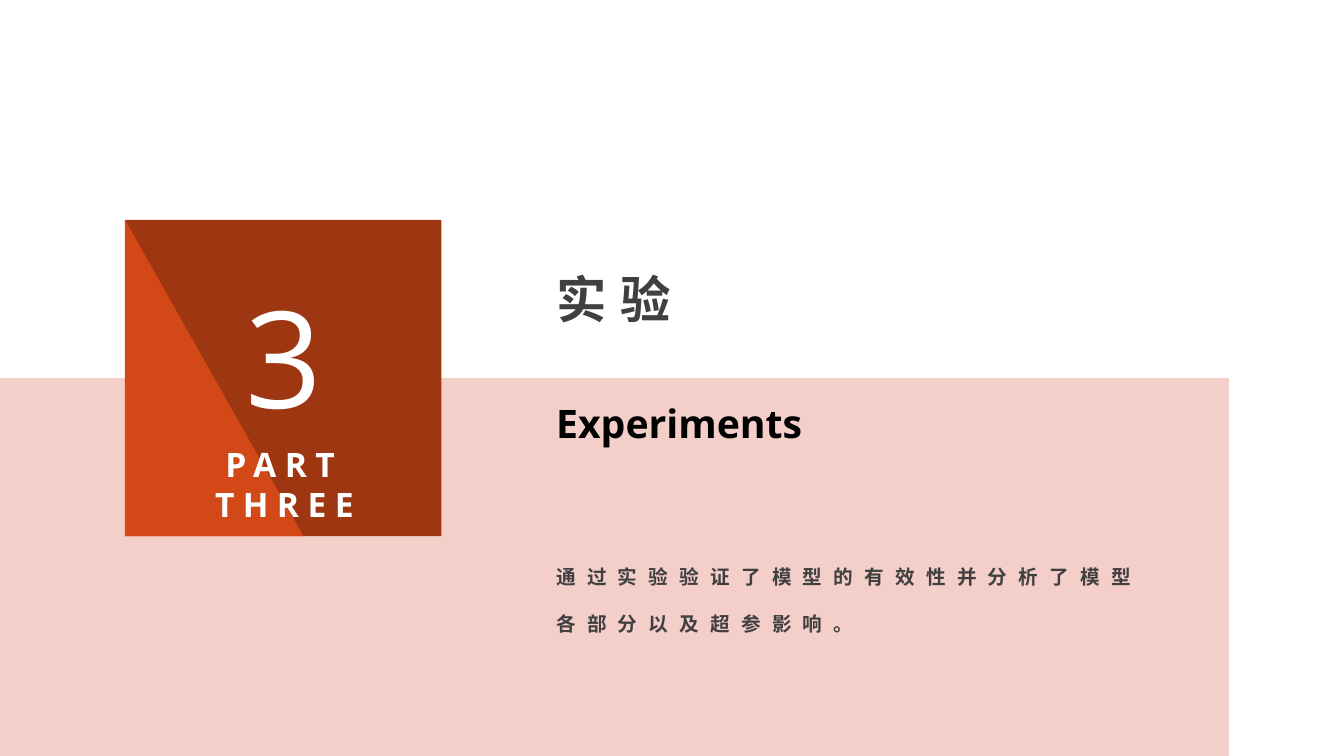
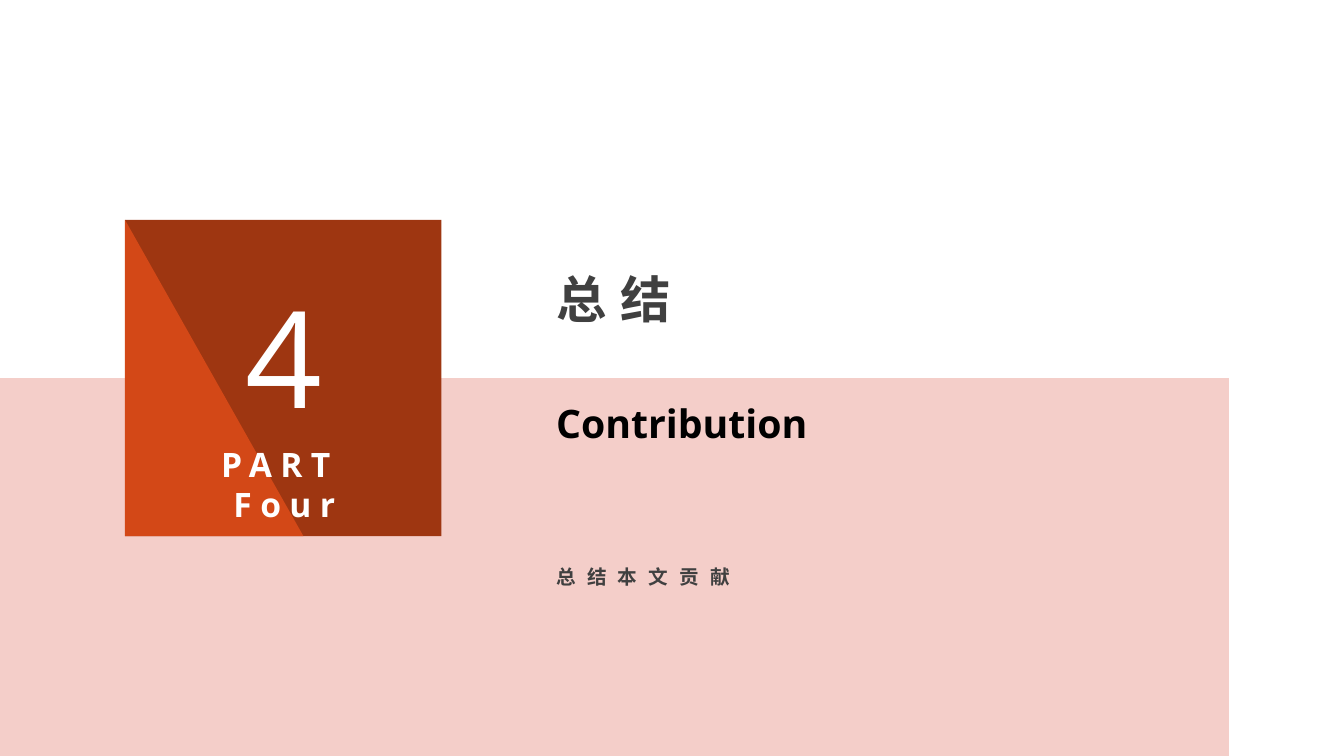
from pptx import Presentation
from pptx.dml.color import RGBColor
from pptx.enum.shapes import MSO_SHAPE
from pptx.enum.text import MSO_ANCHOR, MSO_AUTO_SIZE, PP_ALIGN
from pptx.util import Pt

RECT, TRI = MSO_SHAPE.RECTANGLE, MSO_SHAPE.RIGHT_TRIANGLE
LEFT, MID = PP_ALIGN.LEFT, PP_ALIGN.CENTER
TOP, FIXED = MSO_ANCHOR.TOP, MSO_AUTO_SIZE.NONE

PINK = RGBColor(0xF4, 0xCE, 0xC9)
RUST = RGBColor(0x9E, 0x36, 0x11)
ORANGE = RGBColor(0xD3, 0x48, 0x17)
WHITE = RGBColor(0xFF, 0xFF, 0xFF)
BLACK = RGBColor(0, 0, 0)
GRAY = RGBColor(0x40, 0x40, 0x40)

FONT = "Open Sans"
WIDE, HIGH = 960, 540
TEXT_X = 390.2
TILE_X, TILE_Y, TILE = 89.3, 157, 226

# Shared shapes: kind, box, colour
DECOR = [
    (RECT, (0, HIGH / 2, 877.8, HIGH / 2), PINK),
    (RECT, (TILE_X, TILE_Y, TILE, TILE), RUST),
    (TRI, (TILE_X, TILE_Y, 127.5, TILE), ORANGE),
]

# Number, part label, title, subtitle, summary
PARTS = [
    ("3", "PART THREE", "实验", "Experiments",
     "通过实验验证了模型的有效性并分析了模型各部分以及超参影响。"),
    ("4", "PART \nFour", "总结", "Contribution", "总结本文贡献"),
]


def place(shape, box):
    shape.left, shape.top, shape.width, shape.height = map(Pt, box)


def write(shape, text, size, color, bold=True, track=0, align=LEFT, lead=1):
    """Fill a text shape; track is the letter spacing in points."""
    frame = shape.text_frame
    frame.text = text
    frame.word_wrap = True
    frame.auto_size = FIXED
    frame.vertical_anchor = TOP
    for para in frame.paragraphs:
        para.alignment = align
        para.line_spacing = lead
        para.space_before = Pt(0)
        for run in para.runs:
            font = run.font
            font.name, font.size, font.bold = FONT, Pt(size), bold
            font.color.rgb = color
            if track:
                run._r.get_or_add_rPr().set("spc", str(track * 100))


def label(slide, box, *args, **style):
    write(slide.shapes.add_textbox(*map(Pt, box)), *args, **style)


def dress(layout, slide):
    """Set the layout's placeholders and move the shared shapes into it."""
    title, body = list(layout.placeholders)[:2]
    place(title, (TEXT_X, 188, 398, 51))
    place(body, (TEXT_X, 383, 443, 70.6))
    tree = title._element.getparent()
    for i, (kind, box, color) in enumerate(DECOR):
        shape = slide.shapes.add_shape(kind, *map(Pt, box))
        shape.shadow.inherit = False
        shape.fill.solid()
        shape.fill.fore_color.rgb = color
        shape.line.fill.background()
        shape._element.nvSpPr.cNvPr.set("id", str(100 + i))
        tree.insert(2 + i, shape._element)


def fill(slide, num, part, title, sub, note):
    # Tile
    label(slide, (141.8, 192.2, 121.7, 123.8), num, 96, WHITE,
          bold=False, align=MID)
    label(slide, (99.4, 313.2, 207.4, 65.5), part, 24, WHITE,
          track=6, align=MID)
    # Headings and summary
    write(slide.shapes.title, title, 36, GRAY, track=10)
    label(slide, (TEXT_X, 281.5, 400, 41), sub, 28, BLACK)
    write(slide.placeholders[1], note, 14, GRAY, track=8, lead=2)


def main():
    deck = Presentation()
    deck.slide_width, deck.slide_height = Pt(WIDE), Pt(HIGH)
    layout = deck.slide_layouts.get_by_name("Section Header")
    slides = [deck.slides.add_slide(layout) for _ in PARTS]
    dress(layout, slides[0])
    for slide, part in zip(slides, PARTS):
        fill(slide, *part)
    deck.save("out.pptx")


if __name__ == "__main__":
    main()
